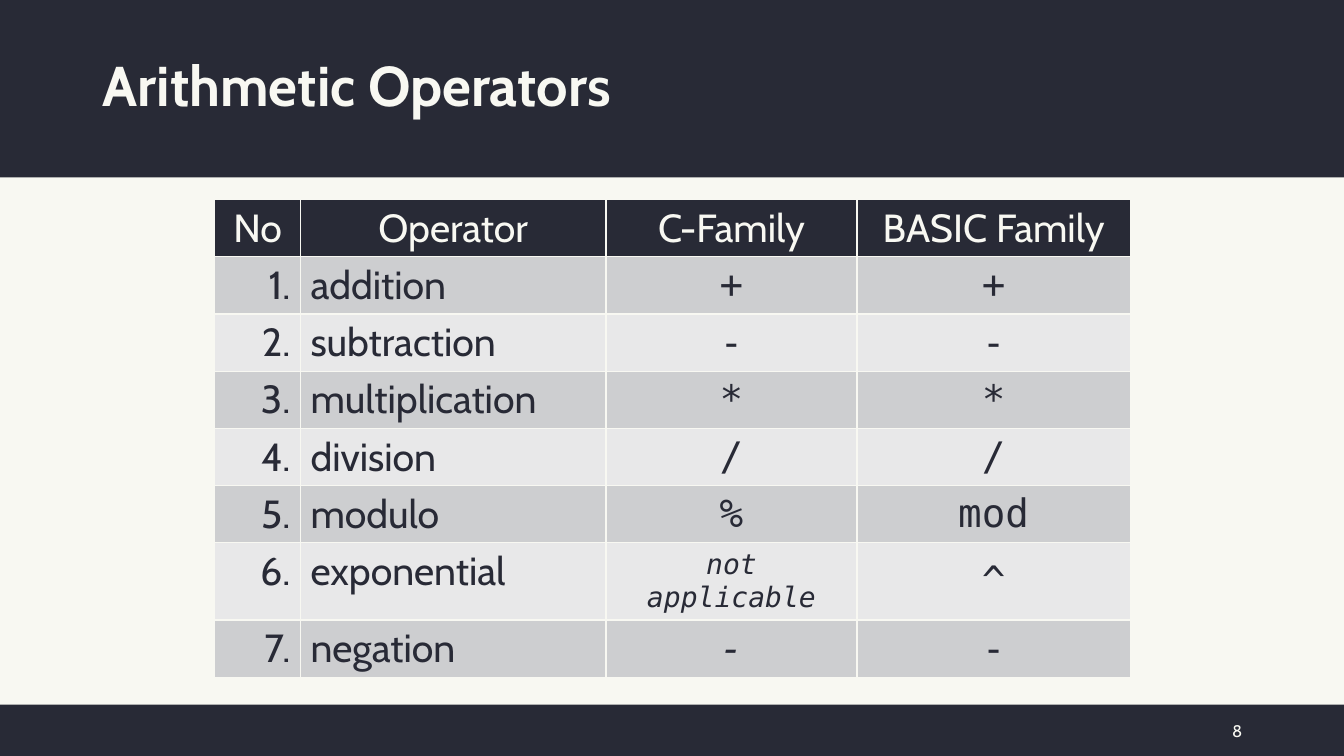
from dataclasses import dataclass

from lxml.etree import SubElement
from pptx import Presentation
from pptx.dml.color import RGBColor
from pptx.enum.shapes import MSO_SHAPE
from pptx.enum.text import MSO_ANCHOR as Anchor, MSO_AUTO_SIZE, PP_ALIGN as Align
from pptx.oxml.ns import qn
from pptx.slide import Slide
from pptx.table import _Cell as Cell
from pptx.util import Inches, Pt

DARK = RGBColor(0x28, 0x2A, 0x36)
LIGHT = RGBColor(0xF8, 0xF8, 0xF2)
ROW_FILLS = (RGBColor(0xCD, 0xCE, 0xD0), RGBColor(0xE8, 0xE8, 0xE9))
TEXT_FONT = "Cabin"
CODE_FONT = "DejaVu Sans Mono"
SLIDE_WIDTH = 13.33
COLUMN_WIDTHS = (0.85, 3.03, 2.49, 2.71)
ROW_HEIGHT = 0.41
HEADINGS = ("No", "Operator", "C-Family", "BASIC Family")


@dataclass(frozen=True)
class Operator:
    name: str
    c_family: str
    basic_family: str
    c_size: int = 28
    c_italic: bool = False


OPERATORS = (
    Operator("addition", "+", "+"),
    Operator("subtraction", "-", "-"),
    Operator("multiplication", "*", "*"),
    Operator("division", "/", "/"),
    Operator("modulo", "%", "mod"),
    Operator("exponential", "not applicable", "^", c_size=20, c_italic=True),
    Operator("negation", "-", "-", c_italic=True),
)


def style_text(frame, text: str, size: int, color: RGBColor, align: Align,
               font_name: str = TEXT_FONT, bold: bool = False,
               italic: bool = False) -> None:
    frame.text = text
    paragraph = frame.paragraphs[0]
    paragraph.alignment = align
    font = paragraph.runs[0].font
    font.name, font.size = font_name, Pt(size)
    font.bold, font.italic = bold, italic
    font.color.rgb = color


def add_band(slide: Slide, top: float, height: float) -> None:
    band = slide.shapes.add_shape(MSO_SHAPE.RECTANGLE, 0, Inches(top),
                                  Inches(SLIDE_WIDTH), Inches(height))
    band.shadow.inherit = False
    band.fill.solid()
    band.fill.fore_color.rgb = DARK
    band.line.fill.background()


def fill_cell(cell: Cell, fill: RGBColor, text: str, color: RGBColor,
              align: Align, size: int = 28, font_name: str = TEXT_FONT,
              italic: bool = False) -> None:
    style_text(cell.text_frame, text, size, color, align, font_name, italic=italic)
    cell.vertical_anchor = Anchor.MIDDLE if font_name == CODE_FONT else Anchor.TOP
    # Borders come before the fill in the cell properties
    properties = cell._tc.get_or_add_tcPr()
    for side in ("a:lnL", "a:lnR", "a:lnT", "a:lnB"):
        border = SubElement(properties, qn(side), w=str(Pt(1)))
        border_fill = SubElement(border, qn("a:solidFill"))
        SubElement(border_fill, qn("a:srgbClr"), val=str(LIGHT))
    cell.fill.solid()
    cell.fill.fore_color.rgb = fill


def add_operator_table(slide: Slide) -> None:
    table = slide.shapes.add_table(
        len(OPERATORS) + 1, len(HEADINGS), Inches(2.13), Inches(1.98),
        Inches(sum(COLUMN_WIDTHS)), Inches(ROW_HEIGHT * (len(OPERATORS) + 1))).table
    for column, width in zip(table.columns, COLUMN_WIDTHS):
        column.width = Inches(width)

    for column_index, heading in enumerate(HEADINGS):
        fill_cell(table.cell(0, column_index), DARK, heading, LIGHT, Align.CENTER)

    for number, operator in enumerate(OPERATORS, start=1):
        fill = ROW_FILLS[(number - 1) % 2]
        number_cell, name_cell, c_cell, basic_cell = table.rows[number].cells
        fill_cell(number_cell, fill, f"{number}.", DARK, Align.RIGHT)
        fill_cell(name_cell, fill, operator.name, DARK, Align.LEFT)
        fill_cell(c_cell, fill, operator.c_family, DARK, Align.CENTER,
                  operator.c_size, CODE_FONT, operator.c_italic)
        fill_cell(basic_cell, fill, operator.basic_family, DARK, Align.CENTER,
                  font_name=CODE_FONT)


def main() -> None:
    presentation = Presentation()
    presentation.slide_width = Inches(SLIDE_WIDTH)
    presentation.slide_height = Inches(7.5)
    slide = presentation.slides.add_slide(presentation.slide_layouts[5])
    slide.background.fill.solid()
    slide.background.fill.fore_color.rgb = LIGHT

    # Header and footer bands
    add_band(slide, 0, 1.76)
    add_band(slide, 6.99, 0.51)

    # Title, brought in front of the header band
    title = slide.shapes.title
    title.element.getparent().append(title.element)
    title.left, title.top = Inches(0.92), Inches(0.15)
    title.width, title.height = Inches(11.5), Inches(1.45)
    style_text(title.text_frame, "Arithmetic Operators", 40, LIGHT, Align.LEFT, bold=True)
    title.text_frame.paragraphs[0].line_spacing = 0.9
    title.text_frame.vertical_anchor = Anchor.MIDDLE
    title.text_frame.auto_size = MSO_AUTO_SIZE.NONE

    # Page number
    page_number = slide.shapes.add_textbox(Inches(11.68), Inches(7.05),
                                           Inches(0.74), Inches(0.4)).text_frame
    page_number.word_wrap = True
    page_number.vertical_anchor = Anchor.MIDDLE
    style_text(page_number, "8", 12, LIGHT, Align.RIGHT)

    add_operator_table(slide)
    presentation.save("out.pptx")


if __name__ == "__main__":
    main()
